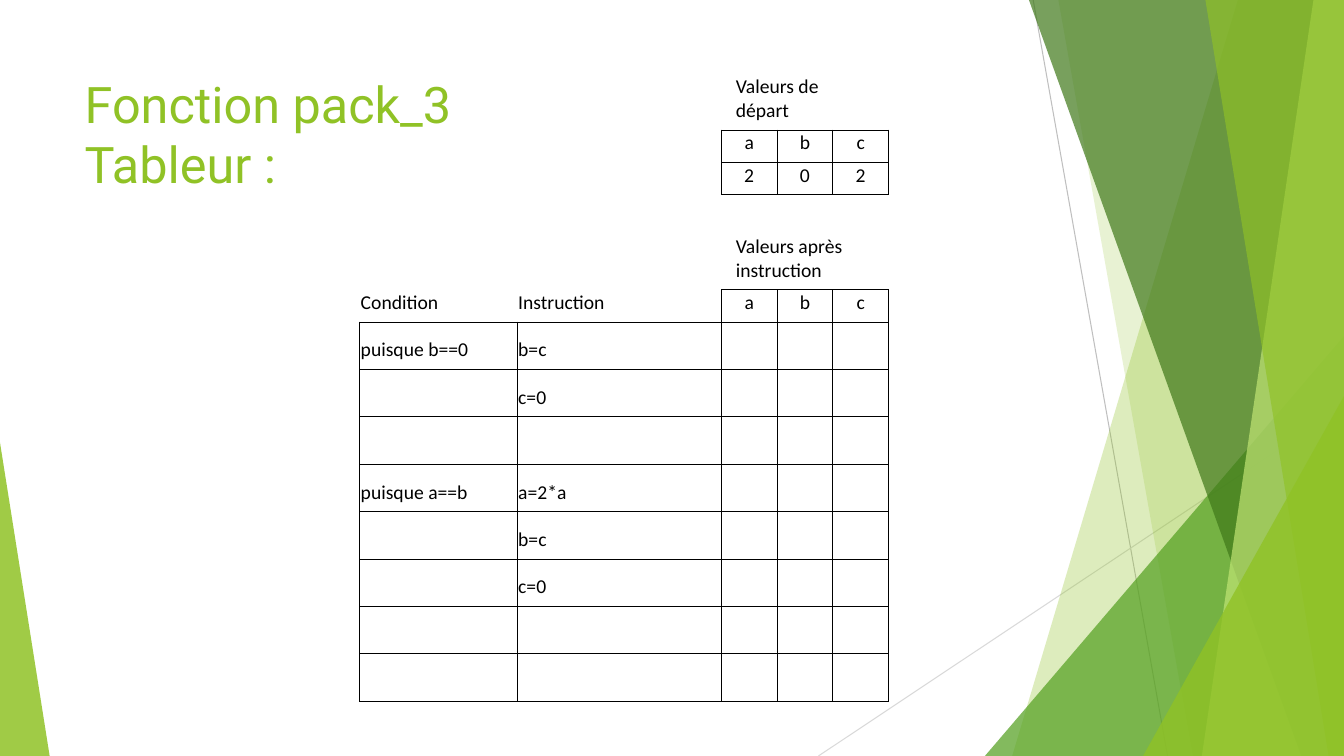
"""Build the pack_3 tracing slide with its value table."""
from lxml.etree import SubElement
from pptx import Presentation
from pptx.dml.color import RGBColor
from pptx.enum.shapes import MSO_CONNECTOR, MSO_SHAPE
from pptx.enum.text import MSO_ANCHOR, MSO_AUTO_SIZE, PP_ALIGN
from pptx.oxml import parse_xml
from pptx.oxml.ns import nsdecls, qn
from pptx.util import Pt

SLIDE_WIDTH, SLIDE_HEIGHT = 960, 540
TITLE_LINES = ["Fonction pack_3", "Tableur :"]
TITLE_FRAME = {"left": Pt(53.3), "top": Pt(48.3), "width": Pt(677), "height": Pt(104)}
TITLE_TEXT = {
    "word_wrap": True, "auto_size": MSO_AUTO_SIZE.NONE, "vertical_anchor": MSO_ANCHOR.TOP,
    "margin_left": Pt(7.2), "margin_right": Pt(7.2), "margin_top": Pt(3.6), "margin_bottom": Pt(3.6),
}
TITLE_FONT = {"name": "Roboto", "size": Pt(36), "bold": False}

VARIABLES = ["a", "b", "c"]
BLANK = [""] * 3
TRACE = [
    ["", "", "Valeurs de départ", "", ""],
    ["", "", *VARIABLES],
    ["", "", "2", "0", "2"],
    ["", "", *BLANK],
    ["", "", "Valeurs après instruction", "", ""],
    ["Condition", "Instruction", *VARIABLES],
    ["puisque b==0", "b=c", *BLANK],
    ["", "c=0", *BLANK],
    ["", "", *BLANK],
    ["puisque a==b", "a=2*a", *BLANK],
    ["", "b=c", *BLANK],
    ["", "c=0", *BLANK],
    ["", "", *BLANK],
    ["", "", *BLANK],
]
LABEL_ROWS, VALUE_ROWS = (0, 4), (1, 2, 5)
FIRST_STEP, FIRST_VALUE = 6, 2
COLUMN_WIDTHS = [112.5, 145.8] + [39.8] * 3
LABEL_HEIGHT, VALUE_HEIGHT, STEP_HEIGHT = 44, 23.2, 33.85
TABLE_LEFT, TABLE_TOP = 257, 48.3
CELL_FORMAT = {
    "vertical_anchor": MSO_ANCHOR.BOTTOM, "margin_left": Pt(0.7), "margin_right": Pt(0.7),
    "margin_top": Pt(0.7), "margin_bottom": Pt(5.2),
}
LABEL_FORMAT = {"margin_left": Pt(10.4), "margin_right": Pt(10.4), "margin_top": Pt(5.2)}
CELL_FONT = {"name": "Calibri", "size": Pt(14), "bold": False}
NO_GRID_STYLE = "{2D5ABB26-0587-4C30-8999-92F81FD0307C}"

RAYS = [((738, 0), (834, 540), "BFBFBF"), ((960, 290), (584.6, 540), "D9D9D9")]
BAND, PEAK = "band", "peak"
FACETS = [
    (BAND, (884.2, 723), "90C226", 30),
    (BAND, (756, 852), "90C226", 20),
    (PEAK, (703.5, 240, 256.5, 1), "54A021", 72),
    (BAND, (735, 929.5), "3F7819", 70),
    (BAND, (938.2, 858.5), "C0E474", 70),
    (BAND, (861, 949), "90C226", 65),
    (PEAK, (816.5, 283, 143.5, 1), "90C226", 80),
    (PEAK, (0, 316, 35.5, 0), "90C226", 85),
]


def colour(code):
    return RGBColor.from_string(code)


def apply(target, settings):
    for name, value in settings.items():
        setattr(target, name, value)


def add_ray(shapes, start, end, code):
    ray = shapes.add_connector(MSO_CONNECTOR.STRAIGHT, *map(Pt, start + end))
    ray.line.width = Pt(0.75)
    ray.line.color.rgb = colour(code)
    SubElement(ray._element.spPr, qn("a:effectLst"))


def add_facet(shapes, kind, geometry, code, opacity):
    if kind == BAND:
        top_left, bottom_left = geometry
        outline = shapes.build_freeform(Pt(top_left), Pt(0))
        corners = [(SLIDE_WIDTH, 0), (SLIDE_WIDTH, SLIDE_HEIGHT), (bottom_left, SLIDE_HEIGHT)]
        outline.add_line_segments([(Pt(x), Pt(y)) for x, y in corners], close=True)
        facet = outline.convert_to_shape()
    else:
        left, top, width, apex = geometry
        facet = shapes.add_shape(
            MSO_SHAPE.ISOSCELES_TRIANGLE, Pt(left), Pt(top), Pt(width), Pt(SLIDE_HEIGHT - top))
        facet.adjustments[0] = apex
    facet.shadow.inherit = False
    facet.line.fill.background()
    facet.fill.solid()
    facet.fill.fore_color.rgb = colour(code)
    fill_colour = facet._element.spPr.find(qn("a:solidFill")).find(qn("a:srgbClr"))
    SubElement(fill_colour, qn("a:alpha"), val=str(opacity * 1000))


def add_title(title):
    apply(title, TITLE_FRAME)
    apply(title.text_frame, TITLE_TEXT)
    paragraph = title.text_frame.paragraphs[0]
    paragraph.alignment = PP_ALIGN.LEFT
    for number, line in enumerate(TITLE_LINES):
        if number:
            paragraph.add_line_break()
        run = paragraph.add_run()
        run.text = line
        apply(run.font, TITLE_FONT)
        run.font.color.rgb = colour("90C226")


def box_cell(cell):
    properties = cell._tc.get_or_add_tcPr()
    for place, side in enumerate("LRTB"):
        properties.insert(place, parse_xml(
            f'<a:ln{side} {nsdecls("a")} w="6350"><a:solidFill>'
            f'<a:srgbClr val="000000"/></a:solidFill></a:ln{side}>'))


def fill_cell(cell, entry, row, column):
    cell.fill.background()
    apply(cell, CELL_FORMAT)
    paragraph = cell.text_frame.paragraphs[0]
    if row in LABEL_ROWS:
        apply(cell, LABEL_FORMAT)
    elif column >= FIRST_VALUE:
        paragraph.alignment = PP_ALIGN.CENTER
    if entry:
        run = paragraph.add_run()
        run.text = entry
        apply(run.font, CELL_FONT)
        run.font.color.rgb = colour("000000")
    else:
        SubElement(paragraph._p, qn("a:endParaRPr"), sz="1400")
    if row >= FIRST_STEP or (row in VALUE_ROWS and column >= FIRST_VALUE):
        box_cell(cell)


def add_trace(shapes):
    heights = [
        LABEL_HEIGHT if row in LABEL_ROWS else STEP_HEIGHT if row >= FIRST_STEP else VALUE_HEIGHT
        for row in range(len(TRACE))]
    trace = shapes.add_table(
        len(TRACE), len(COLUMN_WIDTHS), Pt(TABLE_LEFT), Pt(TABLE_TOP),
        Pt(sum(COLUMN_WIDTHS)), Pt(sum(heights))).table
    apply(trace, {"first_row": False, "horz_banding": False})
    trace._tbl.tblPr.find(qn("a:tableStyleId")).text = NO_GRID_STYLE
    for column, width in zip(trace.columns, COLUMN_WIDTHS):
        column.width = Pt(width)
    for row, height in zip(trace.rows, heights):
        row.height = Pt(height)
    for row in LABEL_ROWS:
        trace.cell(row, FIRST_VALUE).merge(trace.cell(row, len(COLUMN_WIDTHS) - 1))
    for row, entries in enumerate(TRACE):
        for column, entry in enumerate(entries):
            fill_cell(trace.cell(row, column), entry, row, column)


def main():
    deck = Presentation()
    apply(deck, {"slide_width": Pt(SLIDE_WIDTH), "slide_height": Pt(SLIDE_HEIGHT)})
    slide = deck.slides.add_slide(deck.slide_layouts[5])
    for ray in RAYS:
        add_ray(slide.shapes, *ray)
    for facet in FACETS:
        add_facet(slide.shapes, *facet)
    add_title(slide.shapes.title)
    add_trace(slide.shapes)
    deck.save("out.pptx")


if __name__ == "__main__":
    main()
